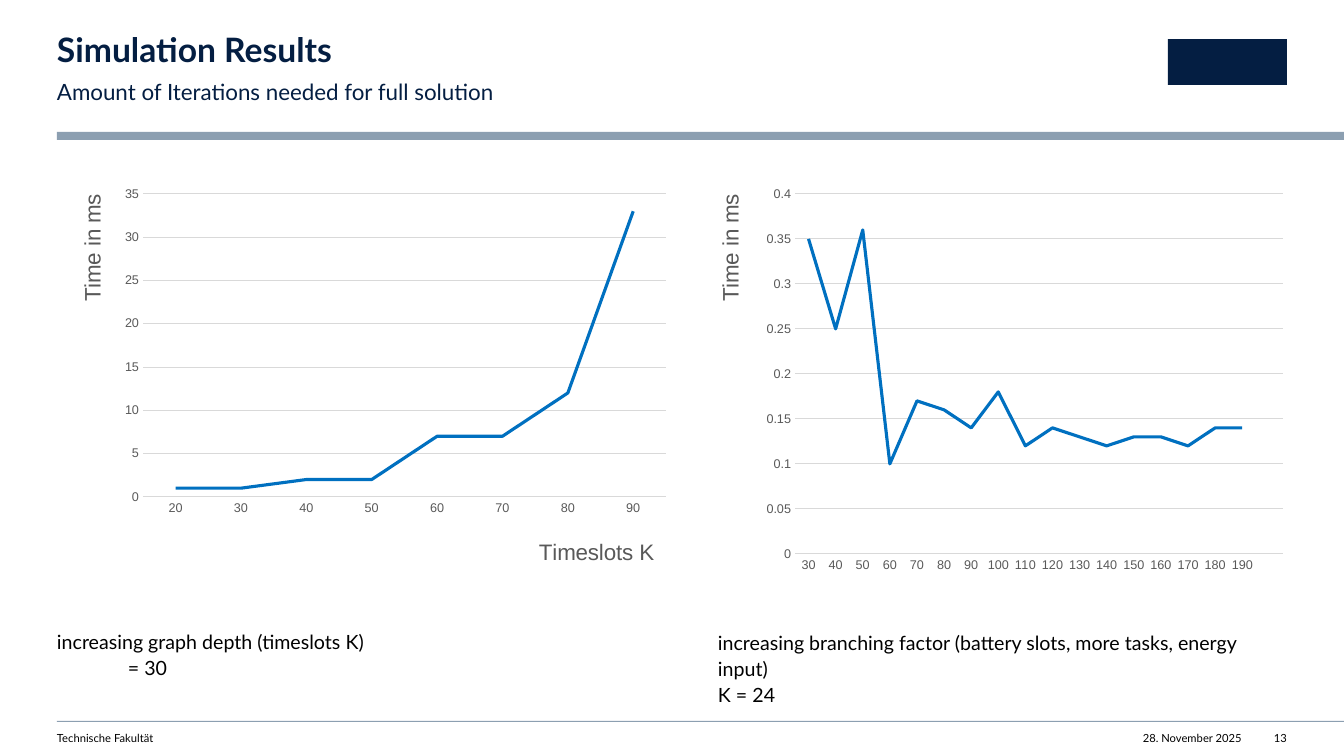
import pptx
import pptx.chart.data
import pptx.dml.color
import pptx.enum.chart
import pptx.enum.shapes
import pptx.enum.text
import pptx.oxml
import pptx.oxml.ns
import pptx.util

PX = 914400 / 100.8
NAVY = pptx.dml.color.RGBColor(0x04, 0x1E, 0x42)
STEEL = pptx.dml.color.RGBColor(0x8C, 0x9F, 0xB1)
BLACK = pptx.dml.color.RGBColor(0, 0, 0)
GREY = pptx.dml.color.RGBColor(0x59, 0x59, 0x59)
GRID = pptx.dml.color.RGBColor(0xD9, 0xD9, 0xD9)
BLUE = pptx.dml.color.RGBColor(0x00, 0x70, 0xC0)
LEFT = pptx.enum.text.PP_ALIGN.LEFT
RIGHT = pptx.enum.text.PP_ALIGN.RIGHT


def px(length):
    return pptx.util.Emu(round(length * PX))


def add_block(slide, area, color):
    block = slide.shapes.add_shape(
        pptx.enum.shapes.MSO_SHAPE.RECTANGLE, *map(px, area))
    block.shadow.inherit = False
    block.fill.solid()
    block.fill.fore_color.rgb = color
    block.line.fill.background()


def add_text(slide, area, lines, size=14, color=BLACK, bold=False, align=LEFT,
             spacing=1.0, right_inset=0, indents=()):
    """Add one paragraph per line; indents maps line numbers to px."""
    box = slide.shapes.add_textbox(*map(px, area))
    frame = box.text_frame
    frame.word_wrap = True
    frame.margin_left = frame.margin_top = frame.margin_bottom = 0
    frame.margin_right = px(right_inset)
    for number, line in enumerate(lines):
        para = frame.paragraphs[0] if number == 0 else frame.add_paragraph()
        if number in indents:
            para._p.get_or_add_pPr().set("marL", str(px(indents[number])))
        para.alignment = align
        para.line_spacing = spacing
        span = para.add_run()
        span.text = line
        span.font.name = "Lato"
        span.font.size = pptx.util.Pt(size)
        span.font.bold = bold
        span.font.color.rgb = color


def place(element, position, index, **fractions):
    """Give a chart part a manual layout in fractions of the chart."""
    old = element.find(pptx.oxml.ns.qn("c:layout"))
    if old is not None:
        element.remove(old)
    target = '<c:layoutTarget val="inner"/>' if "w" in fractions else ""
    sizes = "".join(f'<c:{key} val="{value:.4f}"/>' for key, value in fractions.items())
    element.insert(index, pptx.oxml.parse_xml(
        f'<c:layout {pptx.oxml.ns.nsdecls("c")}><c:manualLayout>{target}'
        f'<c:xMode val="edge"/><c:yMode val="edge"/>'
        f'<c:x val="{position[0]:.4f}"/><c:y val="{position[1]:.4f}"/>{sizes}'
        '</c:manualLayout></c:layout>'))


def title_axis(axis, text, position, upright=False):
    frame = axis.axis_title.text_frame
    span = frame.paragraphs[0].add_run()
    span.text = text
    span.font.name = "Arial"
    span.font.size = pptx.util.Pt(16)
    span.font.bold = False
    span.font.color.rgb = GREY
    if upright:
        frame._txBody.bodyPr.set("rot", "-5400000")
        frame._txBody.bodyPr.set("vert", "horz")
    place(axis.axis_title._element, position, 1)


def style_axis(axis):
    axis.major_tick_mark = axis.minor_tick_mark = pptx.enum.chart.XL_TICK_MARK.NONE
    font = axis.tick_labels.font
    font.name = "Arial"
    font.size = pptx.util.Pt(9)
    font.color.rgb = GREY


def style_line(line, color, width):
    line.color.rgb = color
    line.width = pptx.util.Pt(width)


def add_line_chart(slide, area, plot, categories, values, top_value, step,
                   time_at, slots_at=None):
    """Add a line chart; area, plot and title places are in slide px."""
    left, top, width, height = area

    def within(point):
        return (point[0] - left) / width, (point[1] - top) / height

    data = pptx.chart.data.CategoryChartData()
    data.categories = categories
    data.add_series("Series 1", values)
    chart = slide.shapes.add_chart(
        pptx.enum.chart.XL_CHART_TYPE.LINE, *map(px, area), data).chart
    chart.has_legend = False
    chart.has_title = False
    chart.font.name = "Arial"
    chart.font.size = pptx.util.Pt(10)
    chart.font.color.rgb = BLACK
    chart.plots[0].vary_by_categories = False
    series = chart.plots[0].series[0]
    series.smooth = False
    series.marker.style = pptx.enum.chart.XL_MARKER_STYLE.NONE
    style_line(series.format.line, BLUE, 2.25)

    style_axis(chart.category_axis)
    style_line(chart.category_axis.format.line, GRID, 0.75)
    value_axis = chart.value_axis
    style_axis(value_axis)
    value_axis.format.line.fill.background()
    value_axis.minimum_scale = 0
    value_axis.maximum_scale = top_value
    value_axis.major_unit = step
    style_line(value_axis.major_gridlines.format.line, GRID, 0.75)
    title_axis(value_axis, "Time in ms", within(time_at), upright=True)
    if slots_at:
        title_axis(chart.category_axis, "Timeslots K", within(slots_at))
    plot_area = chart._chartSpace.chart.plotArea
    place(plot_area, within(plot[:2]), 0, w=plot[2] / width, h=plot[3] / height)


def main():
    deck = pptx.Presentation()
    deck.slide_width, deck.slide_height = px(1344), px(756)
    slide = deck.slides.add_slide(deck.slide_layouts[6])

    add_block(slide, (57, 132, 1287, 8), STEEL)
    add_block(slide, (57, 721, 1287, 1), STEEL)
    add_block(slide, (1168, 39, 119, 46), NAVY)
    add_text(slide, (57, 33, 755, 36), ["Simulation Results"],
             size=24, color=NAVY, bold=True, spacing=0.9)
    add_text(slide, (57, 76, 755, 28), ["Amount of Iterations needed for full solution"],
             size=16, color=NAVY, spacing=1.1, right_inset=39)

    add_line_chart(slide, (57, 178, 621, 399), (143, 194, 523, 303),
                   [str(slots) for slots in range(20, 100, 10)],
                   [1, 1, 2, 2, 7, 7, 12, 33], 35, 5,
                   time_at=(74, 190), slots_at=(535, 534))
    add_line_chart(slide, (700, 178, 596, 401), (795, 194, 488, 360),
                   [str(factor) for factor in range(30, 200, 10)] + [""],
                   [0.35, 0.25, 0.36, 0.1, 0.17, 0.16, 0.14, 0.18, 0.12, 0.14,
                    0.13, 0.12, 0.13, 0.13, 0.12, 0.14, 0.14, None], 0.4, 0.05,
                   time_at=(712, 190))

    add_text(slide, (57, 628, 603, 56), ["increasing graph depth (timeslots K)", "= 30"],
             spacing=1.1, right_inset=39, indents={1: 71})
    add_text(slide, (718, 629, 603, 56),
             ["increasing branching factor (battery slots, more tasks, energy input)",
              "K = 24"], spacing=1.1, right_inset=39)

    add_text(slide, (57, 731, 603, 13), ["Technische Fakultät"], size=8)
    add_text(slide, (1100, 731, 142, 13), ["28. November 2025"], size=8, align=RIGHT)
    add_text(slide, (1247, 731, 40, 13), ["13"], size=8, align=RIGHT)
    deck.save("out.pptx")


if __name__ == "__main__":
    main()
